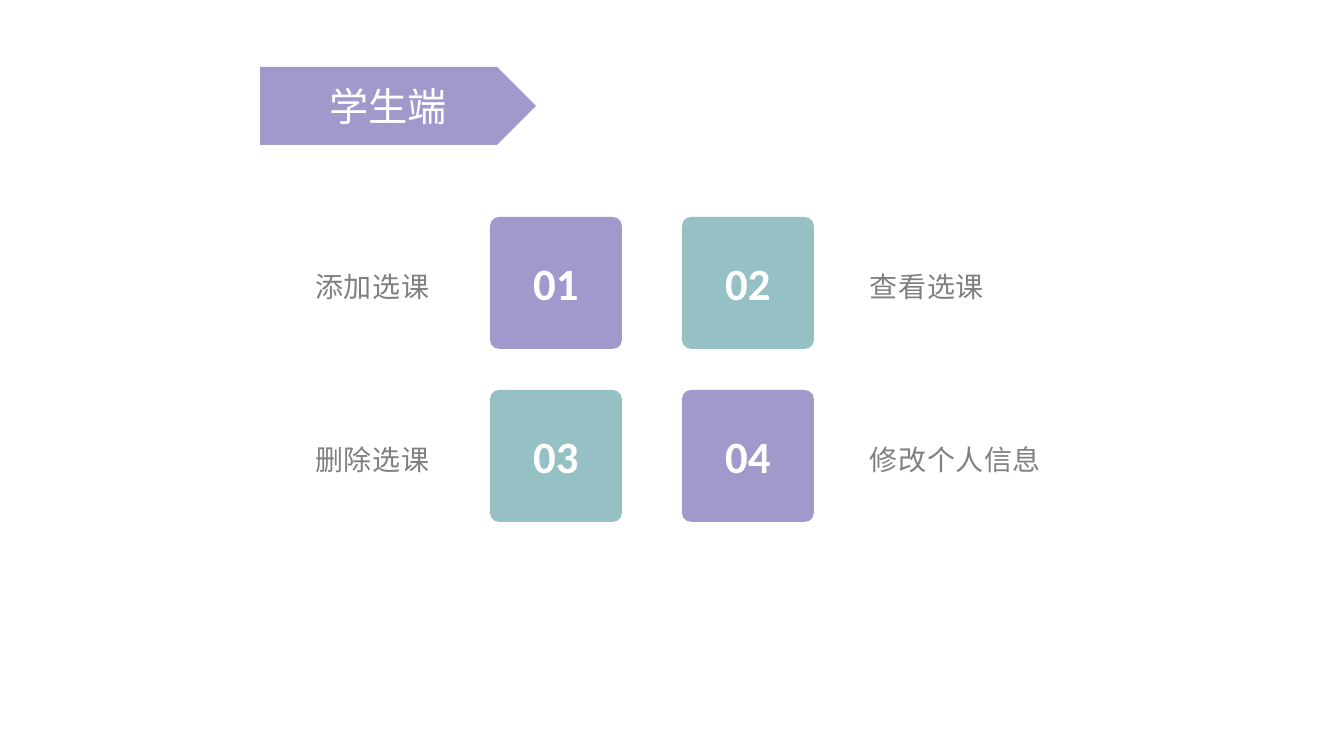
from lxml import etree
from pptx import Presentation, util as u
from pptx.dml.color import RGBColor
from pptx.enum import shapes, text
from pptx.oxml.ns import qn

HEADING = "学生端"
# number, label, label width, tile colour; read row by row
FEATURES = [
    ("01", "添加选课", 179, "purple"),
    ("02", "查看选课", 179, "teal"),
    ("03", "删除选课", 179, "teal"),
    ("04", "修改个人信息", 218, "purple"),
]
COLORS = {"purple": "A099CB", "teal": "95C1C4", "gray": "808080", "white": "FFFFFF"}

# Layout in px
SLIDE_W, SLIDE_H = 1344, 756
BANNER = (260, 67, 276, 78)
BANNER_TEXT_W = 256
GRID_LEFT, GRID_TOP, TILE = 490, 217, 132
PITCH_X, PITCH_Y = 192, 173
LABEL_LEFTS = (260, 860)
LABEL_DROP, LABEL_H = 48, 44


def px(value):
    return u.Emu(round(value * 914400 / 100.8))


def color(name):
    return RGBColor.from_string(COLORS[name])


def add_block(slide, kind, area, fill):
    block = slide.shapes.add_shape(kind, *map(px, area))
    block.shadow.inherit = False
    block.fill.solid()
    block.fill.fore_color.rgb = color(fill)
    block.line.fill.background()
    return block


def write(shape, words, size, font, tint, align, bold=False):
    para = shape.text_frame.paragraphs[0]
    para.alignment = align
    span = para.add_run()
    span.text = words
    span.font.size = u.Pt(size)
    span.font.name = font
    span.font.bold = bold
    span.font.color.rgb = color(tint)
    props = span.font._element
    east_asian = etree.Element(qn("a:ea"), typeface=font)
    props.find(qn("a:latin")).addnext(east_asian)
    return props


def main():
    deck = Presentation()
    deck.slide_width, deck.slide_height = px(SLIDE_W), px(SLIDE_H)
    slide = deck.slides.add_slide(deck.slide_layouts[5])
    align = text.PP_ALIGN

    # Heading on its banner
    banner = add_block(slide, shapes.MSO_SHAPE.PENTAGON, BANNER, "purple")
    title = slide.shapes.title
    left, top, _, height = BANNER
    title.left, title.top = px(left), px(top)
    title.width, title.height = px(BANNER_TEXT_W), px(height)
    title.text_frame.auto_size = text.MSO_AUTO_SIZE.NONE
    title.text_frame.vertical_anchor = text.MSO_ANCHOR.MIDDLE
    write(title, HEADING, 28, "Noto Sans CJK SC", "white", align.CENTER)
    banner._element.addnext(title._element)  # text in front of the banner

    # Two-by-two grid of numbered tiles with outer labels
    for index, (number, label, label_w, fill) in enumerate(FEATURES):
        row, column = divmod(index, 2)
        x, y = GRID_LEFT + column * PITCH_X, GRID_TOP + row * PITCH_Y
        tile = add_block(slide, shapes.MSO_SHAPE.ROUNDED_RECTANGLE, (x, y, TILE, TILE), fill)
        tile.adjustments[0] = 0.07
        tile.text_frame.vertical_anchor = text.MSO_ANCHOR.MIDDLE
        write(tile, number, 32, "Calibri", "white", align.CENTER, bold=True)

        area = (LABEL_LEFTS[column], y + LABEL_DROP, label_w, LABEL_H)
        box = slide.shapes.add_textbox(*map(px, area))
        box.text_frame.word_wrap = True
        side = (align.RIGHT, align.LEFT)[column]
        props = write(box, label, 20, "DejaVu Sans", "gray", side)
        props.set("spc", "40")

    deck.save("out.pptx")


if __name__ == "__main__":
    main()
